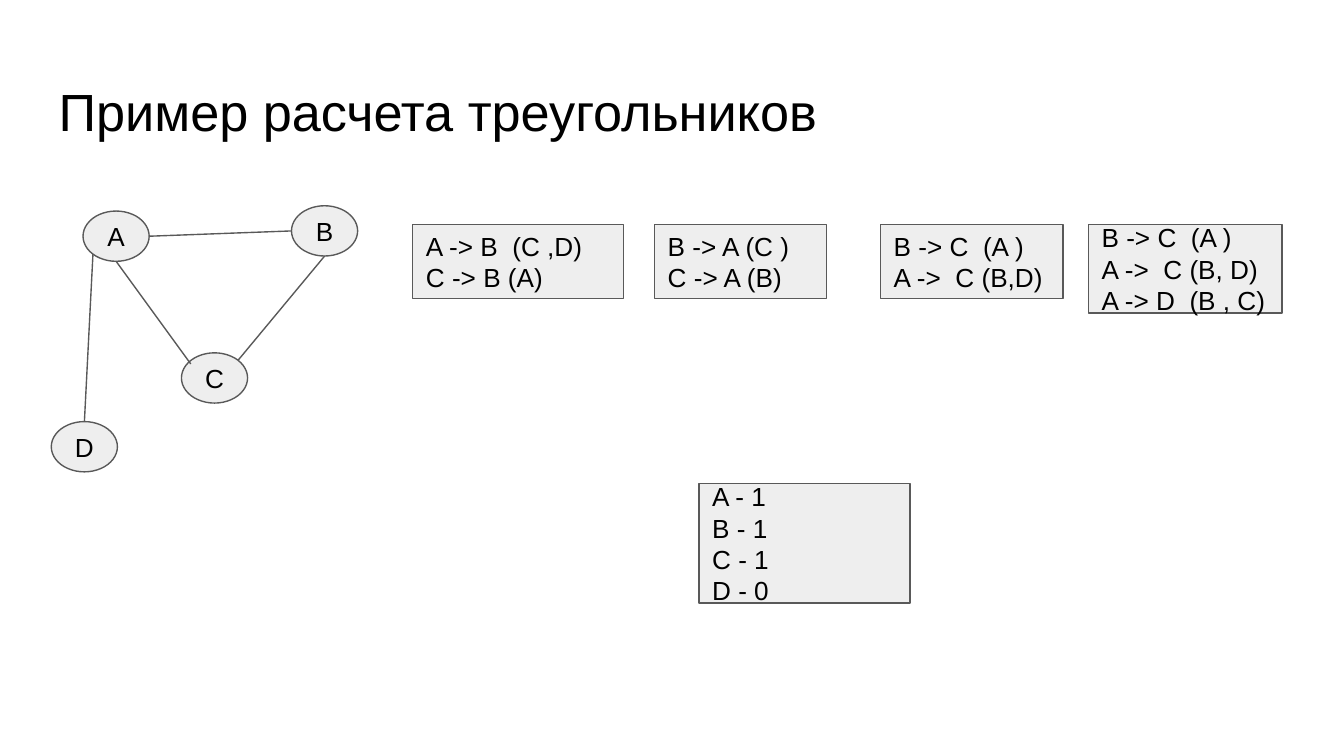
import dataclasses

import pptx
import pptx.dml.color
import pptx.enum.shapes
import pptx.enum.text
import pptx.oxml.ns
import pptx.util
from lxml import etree

Cm = pptx.util.Cm
Pt = pptx.util.Pt
Shape = pptx.enum.shapes.MSO_SHAPE
Align = pptx.enum.text.PP_ALIGN
Anchor = pptx.enum.text.MSO_ANCHOR


@dataclasses.dataclass(frozen=True)
class Theme:
    """Colours, font and sizes of the slide."""
    ink: str = "000000"
    surface: str = "EEEEEE"
    outline: str = "595959"
    font: str = "Arial"
    title_size: float = 28
    body_size: float = 14
    line_width: float = 0.75
    inset: float = 0.25


THEME = Theme()
NODE_SIZE = (1.25, 0.95)
NODES = {"A": (0.6, 0.1), "C": (2.46, 2.78), "B": (4.54, 0), "D": (0, 4.08)}
BOTTOM, TOP, LEFT, RIGHT = (0.5, 1), (0.5, 0), (0, 0.5), (1, 0.5)
LOWER_LEFT, UPPER_LEFT, UPPER_RIGHT = (0.15, 0.85), (0.14, 0.22), (0.86, 0.14)
EDGES = [
    ("A", BOTTOM, "C", UPPER_LEFT),
    ("B", BOTTOM, "C", UPPER_RIGHT),
    ("A", RIGHT, "B", LEFT),
    ("A", LOWER_LEFT, "D", TOP),
]
STEPS = [
    ((7.8, 4.24, 3.99, 1.4), ["A -> B  (C ,D)", "C -> B (A)"]),
    ((12.37, 4.24, 3.25, 1.4), ["B -> A (C )", "C -> A (B)"]),
    ((16.64, 4.24, 3.45, 1.4), ["B -> C  (A )", "A ->  C (B,D)"]),
    ((20.57, 4.24, 3.66, 1.68), ["B -> C  (A )", "A ->  C (B, D)", "A -> D  (B , C)"]),
]
COUNTS = {"A": 1, "B": 1, "C": 1, "D": 0}


def color(value):
    """Return a colour object for a hex value."""
    return pptx.dml.color.RGBColor.from_string(value)


def apply_format(target, values):
    """Set every attribute in values on target."""
    for name, value in values.items():
        setattr(target, name, value)


def write_text(shape, lines, size, align, anchor):
    """Fill a shape with one paragraph per line."""
    frame = shape.text_frame
    inset = Cm(THEME.inset)
    apply_format(frame, {
        "word_wrap": True, "vertical_anchor": anchor,
        "margin_left": inset, "margin_right": inset,
        "margin_top": inset, "margin_bottom": inset,
    })
    frame.text = "\n".join(lines)
    for para in frame.paragraphs:
        para.alignment = align
        for span in para.runs:
            apply_format(span.font, {"name": THEME.font, "size": Pt(size)})
            span.font.color.rgb = color(THEME.ink)


def style_line(line):
    """Give an outline or connector the theme line."""
    line.color.rgb = color(THEME.outline)
    line.width = Pt(THEME.line_width)


def add_title(page, box, text):
    """Place the slide title in its box."""
    shape = page.shapes.add_textbox(*map(Cm, box))
    write_text(shape, [text], THEME.title_size, Align.LEFT, Anchor.TOP)


def add_panel(page, box, kind, lines, align):
    """Place a filled, outlined shape with text in its box."""
    shape = page.shapes.add_shape(kind, *map(Cm, box))
    shape.shadow.inherit = False
    shape.fill.solid()
    shape.fill.fore_color.rgb = color(THEME.surface)
    style_line(shape.line)
    write_text(shape, lines, THEME.body_size, align, Anchor.MIDDLE)
    return shape


def site(node, fraction):
    """Return the point at a fraction of the node's width and height."""
    return (int(node.left + node.width * fraction[0]),
            int(node.top + node.height * fraction[1]))


def add_graph(page, box):
    """Place the nodes and edges of the graph from the corner of its box."""
    left, top = box[:2]
    nodes = {
        name: add_panel(page, (left + x, top + y, *NODE_SIZE), Shape.OVAL, [name], Align.CENTER)
        for name, (x, y) in NODES.items()
    }
    for start, start_site, end, end_site in EDGES:
        edge = page.shapes.add_connector(
            pptx.enum.shapes.MSO_CONNECTOR.STRAIGHT,
            *site(nodes[start], start_site), *site(nodes[end], end_site))
        style_line(edge.line)
        etree.SubElement(edge._element.spPr, pptx.oxml.ns.qn("a:effectLst"))


def add_listing(page, box, lines):
    """Place a rectangle with left-aligned lines in its box."""
    add_panel(page, box, Shape.RECTANGLE, lines, Align.LEFT)


def main():
    """Build and save the slide."""
    deck = pptx.Presentation()
    apply_format(deck, {"slide_width": Cm(25.4), "slide_height": Cm(14.29)})
    page = deck.slides.add_slide(deck.slide_layouts[6])
    add_title(page, (0.86, 1.24, 23.67, 1.6), "Пример расчета треугольников")
    add_graph(page, (0.97, 3.89, 5.79, 5.03))
    for box, lines in STEPS:
        add_listing(page, box, lines)
    add_listing(page, (13.21, 9.14, 3.99, 2.26), [f"{name} - {count}" for name, count in COUNTS.items()])
    deck.save("out.pptx")


if __name__ == "__main__":
    main()
